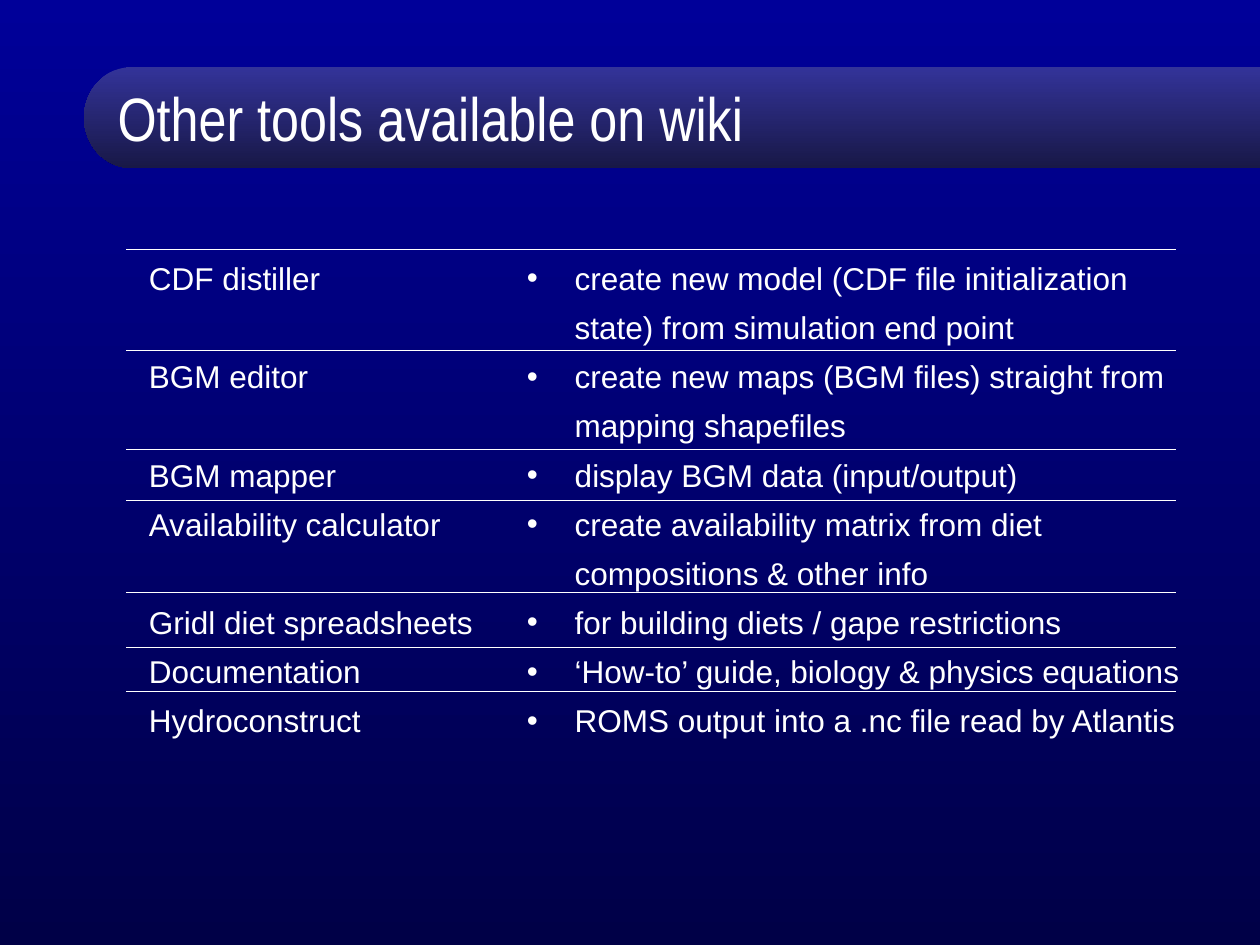
from dataclasses import dataclass

from lxml import etree
from pptx import Presentation
from pptx.dml.color import RGBColor
from pptx.enum.shapes import MSO_CONNECTOR, MSO_SHAPE
from pptx.enum.text import MSO_ANCHOR, MSO_AUTO_SIZE, PP_ALIGN
from pptx.oxml.ns import qn
from pptx.util import Inches, Pt

ELLIPSE = MSO_SHAPE.OVAL
RECTANGLE = MSO_SHAPE.RECTANGLE
STRAIGHT = MSO_CONNECTOR.STRAIGHT
MIDDLE = MSO_ANCHOR.MIDDLE
TOP = MSO_ANCHOR.TOP
LEFT = PP_ALIGN.LEFT
NO_FIT = MSO_AUTO_SIZE.NONE

WIDTH, HEIGHT = Inches(10), Inches(7.5)
COLUMNS, ROWS = 120, 90
WHITE = "FFFFFF"
BACKGROUND = ("000099", "000047")
BAND = ("333399", "181847")
LINE_PITCH = Pt(28.1)
BULLET_INDENT = Inches(0.38)
TITLE_ONLY = 5


@dataclass(frozen=True)
class Area:
    column: float
    row: float
    columns: float
    rows: float

    def lengths(self) -> tuple[int, int, int, int]:
        return (across(self.column), down(self.row),
                across(self.columns), down(self.rows))


@dataclass(frozen=True)
class Tool:
    name: str
    purpose: str
    lines: int = 1


TOOLS = [
    Tool("CDF distiller", "create new model (CDF file initialization state) "
         "from simulation end point", 2),
    Tool("BGM editor", "create new maps (BGM files) straight from "
         "mapping shapefiles", 2),
    Tool("BGM mapper", "display BGM data (input/output)"),
    Tool("Availability calculator", "create availability matrix from diet "
         "compositions & other info", 2),
    Tool("Gridl diet spreadsheets", "for building diets / gape restrictions"),
    Tool("Documentation", "‘How-to’ guide, biology & physics equations"),
    Tool("Hydroconstruct", "ROMS output into a .nc file read by Atlantis"),
]
BAND_PARTS = [(ELLIPSE, Area(8, 6.4, 9, 9.6)),
              (RECTANGLE, Area(12, 6.4, 108, 9.6))]
TITLE_AREA = Area(10, 3.6, 104, 15)
NAMES_AREA = Area(13, 23, 37, 48)
PURPOSES_AREA = Area(49, 23, 66, 48)
RULE_ROWS = [23.76, 33.36, 42.84, 47.64, 56.4, 61.68, 65.88]
RULE_START, RULE_END = 12, 112


def across(columns: float) -> int:
    return round(WIDTH * columns / COLUMNS)


def down(rows: float) -> int:
    return round(HEIGHT * rows / ROWS)


def color(value: str) -> RGBColor:
    return RGBColor.from_string(value)


def fill_downward(fill, stops: tuple[str, str]) -> None:
    fill.gradient()
    fill.gradient_angle = 270
    for stop, value, position in zip(fill.gradient_stops, stops, (0, 1)):
        stop.color.rgb = color(value)
        stop.position = position


def format_font(paragraph, name: str, size: float) -> None:
    paragraph.font.name = name
    paragraph.font.size = Pt(size)
    paragraph.font.color.rgb = color(WHITE)


def add_band(slide) -> None:
    for kind, area in BAND_PARTS:
        shape = slide.shapes.add_shape(kind, *area.lengths())
        shape.shadow.inherit = False
        shape.line.fill.background()
        fill_downward(shape.fill, BAND)


def place_title(slide, text: str) -> None:
    title = slide.shapes.title
    title.left, title.top, title.width, title.height = TITLE_AREA.lengths()
    slide.shapes._spTree.append(title._element)
    frame = title.text_frame
    frame.text = text
    frame.auto_size = NO_FIT
    frame.word_wrap = True
    frame.vertical_anchor = MIDDLE
    paragraph = frame.paragraphs[0]
    paragraph.alignment = LEFT
    format_font(paragraph, "Arial Narrow", 35)


def add_bullet(paragraph) -> None:
    properties = paragraph._p.get_or_add_pPr()
    properties.set("marL", str(BULLET_INDENT))
    properties.set("indent", str(-BULLET_INDENT))
    bullet_color = etree.SubElement(properties, qn("a:buClr"))
    etree.SubElement(bullet_color, qn("a:srgbClr"), val=WHITE)
    etree.SubElement(properties, qn("a:buFont"), typeface="Arial")
    etree.SubElement(properties, qn("a:buChar"), char="•")


def add_text_column(slide, area: Area, texts: list[str],
                    gaps: list[int], bulleted: bool) -> None:
    frame = slide.shapes.add_textbox(*area.lengths()).text_frame
    frame.word_wrap = True
    frame.vertical_anchor = TOP
    for index, (text, gap) in enumerate(zip(texts, gaps)):
        paragraph = frame.add_paragraph() if index else frame.paragraphs[0]
        paragraph.text = text
        paragraph.alignment = LEFT
        paragraph.line_spacing = LINE_PITCH
        if gap:
            paragraph.space_before = LINE_PITCH * gap
        if bulleted:
            add_bullet(paragraph)
        format_font(paragraph, "Arial", 18)


def add_rule(slide, row: float) -> None:
    rule = slide.shapes.add_connector(
        STRAIGHT, across(RULE_START), down(row), across(RULE_END), down(row))
    rule.line.color.rgb = color(WHITE)
    rule.line.width = Pt(0.75)
    etree.SubElement(rule._element.spPr, qn("a:effectLst"))


def main() -> None:
    presentation = Presentation()
    presentation.slide_width, presentation.slide_height = WIDTH, HEIGHT
    slide = presentation.slides.add_slide(
        presentation.slide_layouts[TITLE_ONLY])
    fill_downward(slide.background.fill, BACKGROUND)
    add_band(slide)
    place_title(slide, "Other tools available on wiki")
    name_gaps = [0] + [tool.lines - 1 for tool in TOOLS[:-1]]
    add_text_column(slide, NAMES_AREA, [tool.name for tool in TOOLS],
                    name_gaps, False)
    add_text_column(slide, PURPOSES_AREA, [tool.purpose for tool in TOOLS],
                    [0] * len(TOOLS), True)
    for row in RULE_ROWS:
        add_rule(slide, row)
    presentation.save("out.pptx")


if __name__ == "__main__":
    main()
